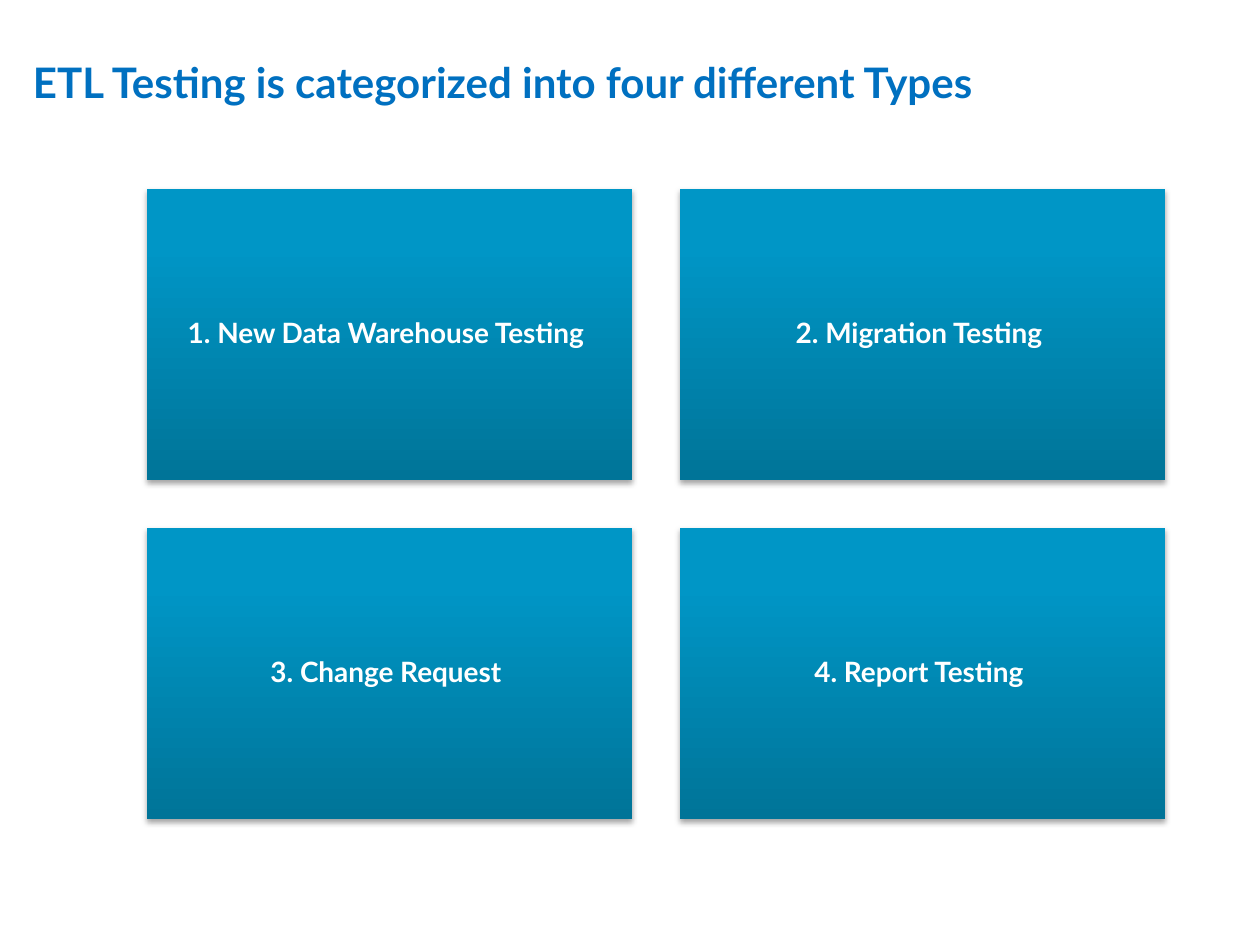
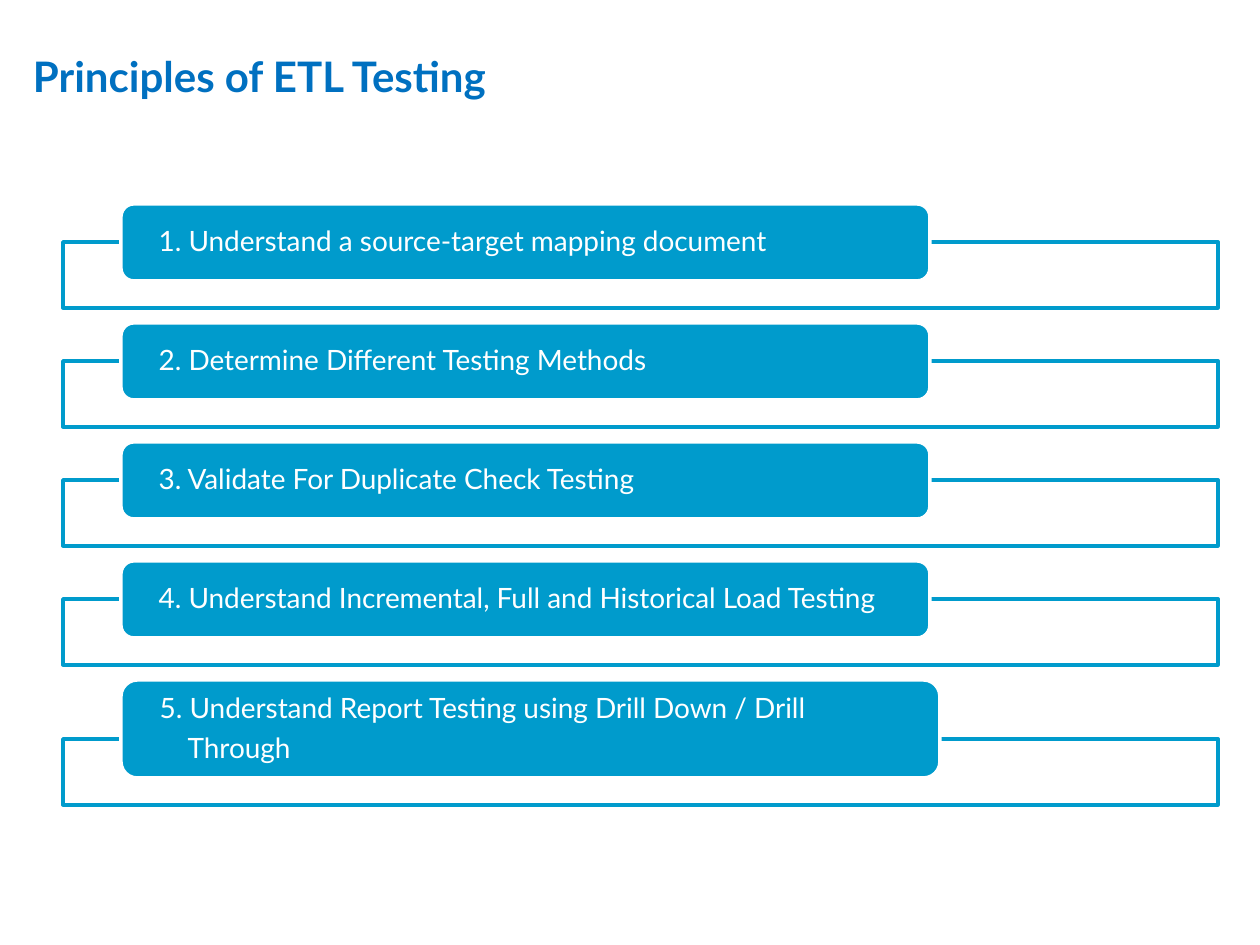
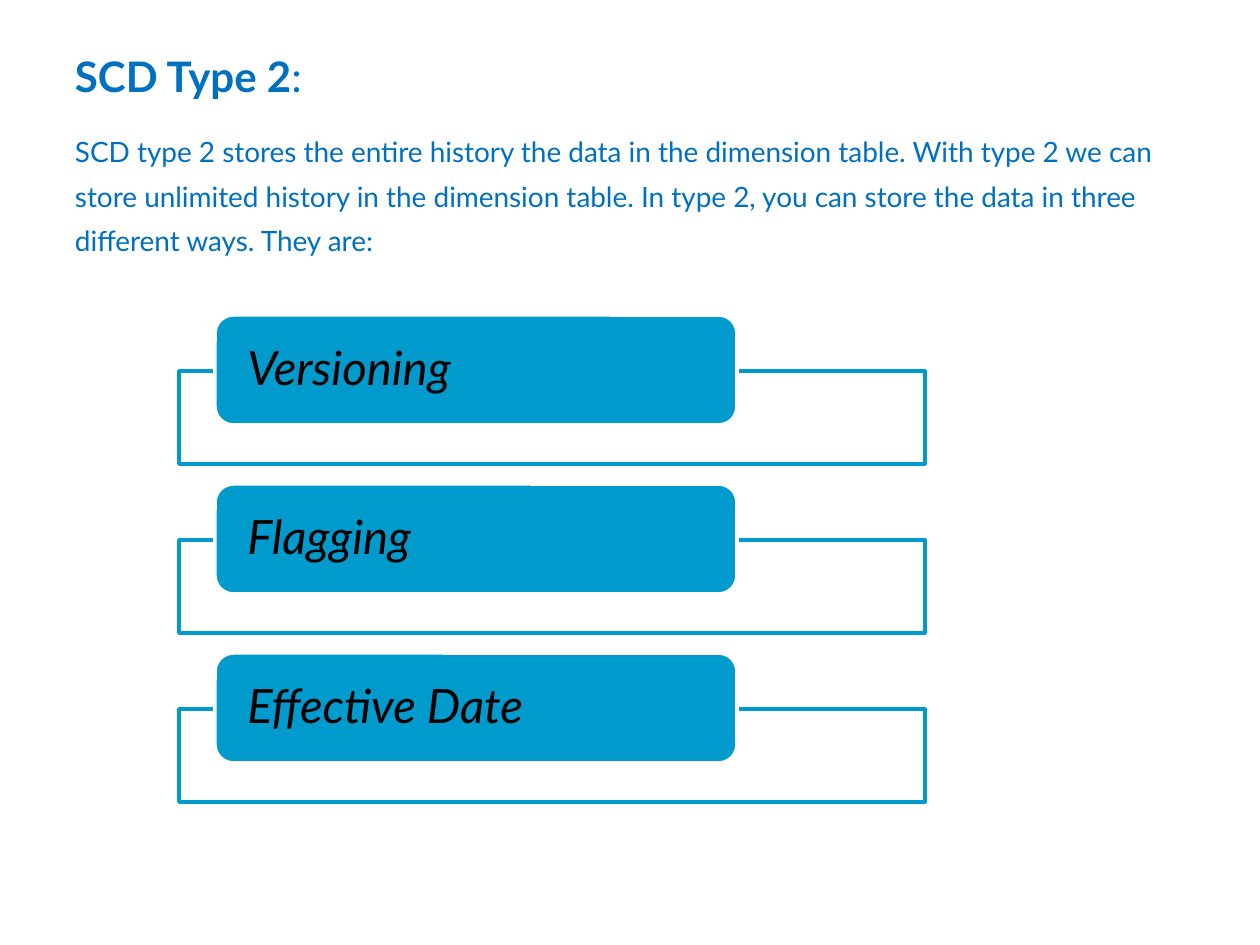
from dataclasses import dataclass

from pptx import Presentation
from pptx.dml.color import RGBColor as RGB
from pptx.enum.shapes import MSO_SHAPE as Shape
from pptx.enum.text import MSO_ANCHOR as Anchor, PP_ALIGN as Align
from pptx.oxml import parse_xml
from pptx.oxml.ns import nsdecls
from pptx.util import Emu, Pt


@dataclass(frozen=True)
class Theme:
    font: str = "Lato"
    heading: str = "0070C0"
    accent: str = "009BCC"
    white: str = "FFFFFF"
    black: str = "000000"
    gradient: tuple = ((0, "007498"), (80, "0096C6"), (100, "0097C7"))
    title_size: int = 24
    body_size: int = 16
    large_size: int = 27
    line_width: int = 2
    paragraph_gap: int = 6
    pill_line_gap: float = 5.6
    pill_spacing: float = 0.9


@dataclass(frozen=True)
class PillList:
    """Measures, in px, of a column of pills, each on an outlined frame."""
    frame_left: int
    frame_width: int
    frame_height: int
    pill_left: int
    top: int
    drop: int   # from pill bottom to frame bottom
    gap: int    # from frame bottom to the next pill
    inset: int
    size: int
    color: str
    italic: bool = False


THEME = Theme()

# Content
TYPES_TITLE = [("ETL Testing is categorized into four different Types", True)]
TEST_TYPES = [
    "1. New Data Warehouse Testing",
    "2. Migration Testing",
    "3. Change Request",
    "4. Report Testing",
]

PRINCIPLES_TITLE = [("Principles of ETL Testing", True)]
PRINCIPLES = [  # lines, pill width, pill height
    (["1. Understand a source-target mapping document"], 809, 77),
    (["2. Determine Different Testing Methods"], 809, 77),
    (["3. Validate For Duplicate Check Testing"], 809, 77),
    (["4. Understand Incremental, Full and Historical Load Testing"], 809, 77),
    (["5. Understand Report Testing using Drill Down / Drill", "Through"], 819, 98),
]

SCD_TITLE = [("SCD Type 2", True), (":", False)]
SCD_TEXT = [
    "SCD type 2 stores the entire history the data in the dimension table. With type 2 we can",
    "store unlimited history in the dimension table. In type 2, you can store the data in three",
    "different ways. They are:",
]
SCD_WAYS = [([name], 522, 110) for name in ("Versioning", "Flagging", "Effective Date")]

# Layout in px
PX_PER_INCH = 126
PAGE_WIDTH, PAGE_HEIGHT = 1260, 945
TITLE_HEIGHT = 60
TILE_LEFT, TILE_TOP, TILE_WIDTH, TILE_HEIGHT, TILE_GAP = 147, 189, 485, 291, 48
CONTINUATION_INDENT = 28

PRINCIPLE_LIST = PillList(frame_left=63, frame_width=1155, frame_height=66,
                          pill_left=121, top=204, drop=27, gap=15, inset=34,
                          size=THEME.body_size, color=THEME.white)
SCD_LIST = PillList(frame_left=179, frame_width=746, frame_height=93,
                    pill_left=215, top=315, drop=39, gap=20, inset=27,
                    size=THEME.large_size, color=THEME.black, italic=True)


def px(length):
    return Emu(round(length * 914400 / PX_PER_INCH))


def set_frame(box, anchor, left=0, right=0):
    frame = box.text_frame
    frame.word_wrap = True
    frame.vertical_anchor = anchor
    frame.margin_left, frame.margin_right = px(left), px(right)
    frame.margin_top = frame.margin_bottom = 0
    return frame


def get_para(frame, index):
    return frame.paragraphs[0] if index == 0 else frame.add_paragraph()


def add_span(para, text, size, color, bold=False, italic=False):
    span = para.add_run()
    span.text = text
    font = span.font
    font.name, font.size = THEME.font, Pt(size)
    font.bold, font.italic = bold, italic
    font.color.rgb = RGB.from_string(color)


def add_box(page, kind, left, top, width, height, fill=None, line=None):
    box = page.shapes.add_shape(kind, px(left), px(top), px(width), px(height))
    box.shadow.inherit = False
    if fill:
        box.fill.solid()
        box.fill.fore_color.rgb = RGB.from_string(fill)
    if line:
        box.line.color.rgb = RGB.from_string(line)
        box.line.width = Pt(THEME.line_width)
    else:
        box.line.fill.background()
    return box


def add_title(page, spans, left, middle):
    box = page.shapes.add_textbox(px(left), px(middle - TITLE_HEIGHT / 2),
                                  px(PAGE_WIDTH - 2 * left), px(TITLE_HEIGHT))
    para = set_frame(box, Anchor.MIDDLE).paragraphs[0]
    for text, bold in spans:
        add_span(para, text, THEME.title_size, THEME.heading, bold)


def style_tile(tile):
    """Give a tile its vertical gradient and soft shadow."""
    stops = "".join(
        f'<a:gs pos="{place * 1000}"><a:srgbClr val="{color}"/></a:gs>'
        for place, color in THEME.gradient)
    properties = tile._element.spPr
    properties.find("{*}prstGeom").addnext(parse_xml(
        f'<a:gradFill {nsdecls("a")} rotWithShape="1"><a:gsLst>{stops}</a:gsLst>'
        '<a:lin ang="16200000" scaled="0"/></a:gradFill>'))
    properties.find("{*}effectLst").append(parse_xml(
        f'<a:outerShdw {nsdecls("a")} blurRad="{Pt(3.1)}" dist="{Pt(1.8)}" '
        f'dir="5400000" rotWithShape="0"><a:srgbClr val="{THEME.black}">'
        '<a:alpha val="35000"/></a:srgbClr></a:outerShdw>'))


def add_tiles(page, names):
    for index, name in enumerate(names):
        row, column = divmod(index, 2)
        tile = add_box(page, Shape.RECTANGLE,
                       TILE_LEFT + column * (TILE_WIDTH + TILE_GAP),
                       TILE_TOP + row * (TILE_HEIGHT + TILE_GAP),
                       TILE_WIDTH, TILE_HEIGHT)
        style_tile(tile)
        para = set_frame(tile, Anchor.MIDDLE, left=9, right=16).paragraphs[0]
        para.alignment = Align.CENTER
        para.line_spacing = THEME.pill_spacing
        add_span(para, name, THEME.body_size, THEME.white, bold=True)


def add_pills(page, items, look):
    top = look.top
    for lines, width, height in items:
        frame_bottom = top + height + look.drop
        add_box(page, Shape.RECTANGLE, look.frame_left, frame_bottom - look.frame_height,
                look.frame_width, look.frame_height, THEME.white, THEME.accent)
        pill = add_box(page, Shape.ROUNDED_RECTANGLE, look.pill_left, top,
                       width, height, THEME.accent, THEME.white)
        frame = set_frame(pill, Anchor.MIDDLE, look.inset, look.inset)
        for index, line in enumerate(lines):
            para = get_para(frame, index)
            para.alignment = Align.LEFT
            para.line_spacing = THEME.pill_spacing
            if index:
                para.space_before = Pt(THEME.pill_line_gap)
                para._p.get_or_add_pPr().set("marL", str(px(CONTINUATION_INDENT)))
            add_span(para, line, look.size, look.color, italic=look.italic)
        top = frame_bottom + look.gap


def add_body(page, lines, left, top, width, height):
    box = page.shapes.add_textbox(px(left), px(top), px(width), px(height))
    frame = set_frame(box, Anchor.TOP)
    for index, line in enumerate(lines):
        para = get_para(frame, index)
        para.space_after = Pt(THEME.paragraph_gap)
        add_span(para, line, THEME.body_size, THEME.heading)


def main():
    deck = Presentation()
    deck.slide_width, deck.slide_height = px(PAGE_WIDTH), px(PAGE_HEIGHT)
    blank = deck.slide_layouts[6]

    # Types of testing
    page = deck.slides.add_slide(blank)
    add_title(page, TYPES_TITLE, left=33, middle=82)
    add_tiles(page, TEST_TYPES)

    # Principles
    page = deck.slides.add_slide(blank)
    add_title(page, PRINCIPLES_TITLE, left=33, middle=76)
    add_pills(page, PRINCIPLES, PRINCIPLE_LIST)

    # Ways to keep history
    page = deck.slides.add_slide(blank)
    add_title(page, SCD_TITLE, left=75, middle=76)
    add_body(page, SCD_TEXT, left=75, top=135, width=1110, height=130)
    add_pills(page, SCD_WAYS, SCD_LIST)

    deck.save("out.pptx")


if __name__ == "__main__":
    main()
